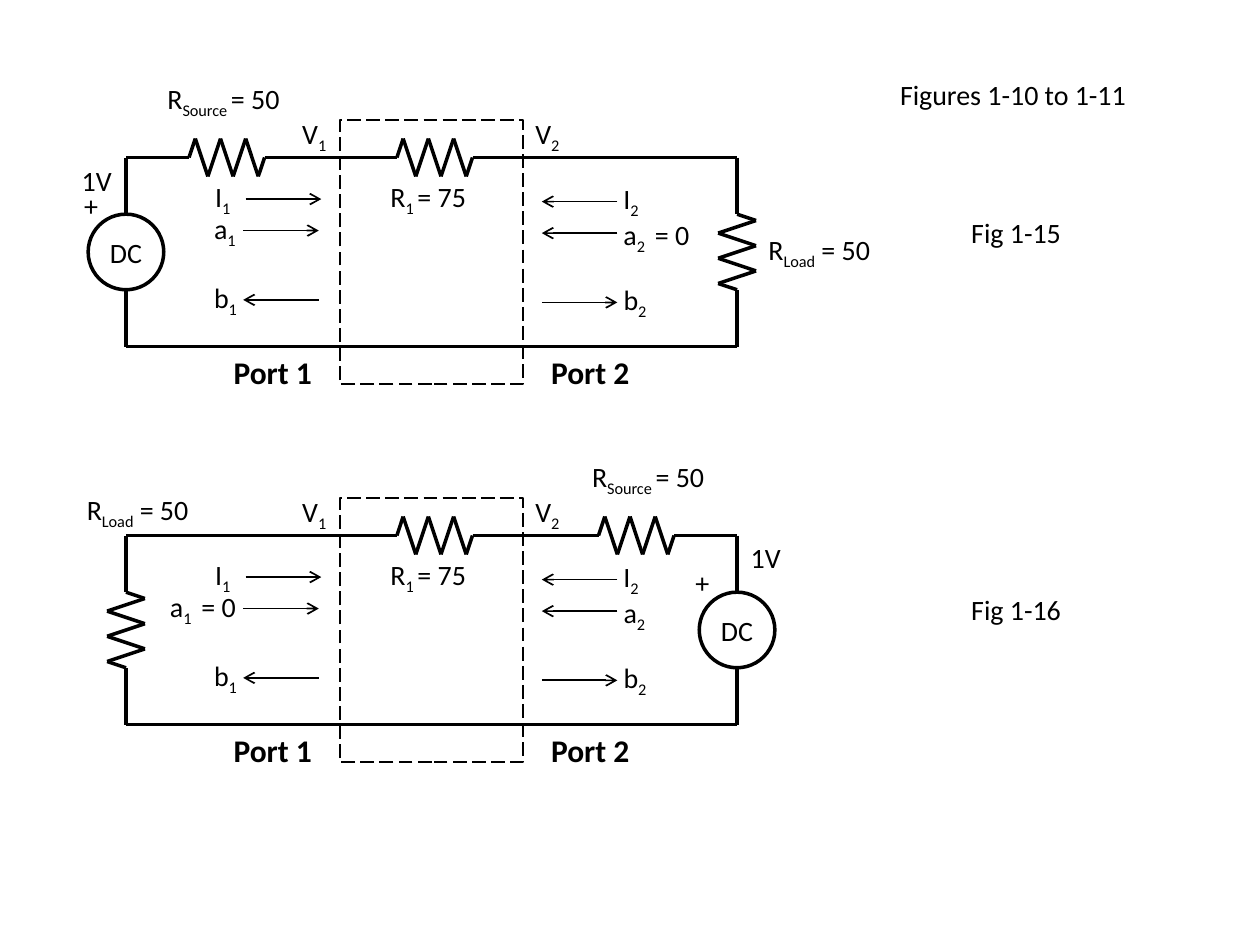
from itertools import pairwise

from lxml import etree
from pptx import Presentation
from pptx.dml.color import RGBColor
from pptx.enum.dml import MSO_LINE
from pptx.enum.shapes import MSO_CONNECTOR, MSO_SHAPE
from pptx.enum.text import MSO_ANCHOR, MSO_AUTO_SIZE, PP_ALIGN
from pptx.oxml.ns import qn
from pptx.util import Inches, Pt

COLORS = {"ink": "000000"}
FONT = "Calibri"
LEFT, RIGHT = 1, 5.85  # x of the outer wires
HEIGHT = 1.5  # from top wire to bottom wire
LENGTH = 0.6  # of a resistor, a source and an arrow
GAP = (HEIGHT - LENGTH) / 2  # wire above and below a side component
INNER, SOURCE_LEFT, SOURCE_RIGHT = 3.15, 1.5, 4.75  # resistor starts
ZIGZAG = [(0, 0)] + [
    (0.05 + 0.1 * i, 0.15 if i % 2 else -0.15) for i in range(6)
] + [(LENGTH, 0)]


def ink():
    return RGBColor.from_string(COLORS["ink"])


def style_line(line, width):
    line.color.rgb = ink()
    line.width = Pt(width)


def add_line(shapes, start, end, width=2, arrow=False):
    ends = [Inches(value) for value in (*start, *end)]
    line = shapes.add_connector(MSO_CONNECTOR.STRAIGHT, *ends)
    style_line(line.line, width)
    properties = line._element.spPr
    if arrow:
        tail = etree.SubElement(properties.find(qn("a:ln")), qn("a:tailEnd"))
        tail.set("type", "arrow")
    etree.SubElement(properties, qn("a:effectLst"))


def add_outline(page, preset, x, y, width, height, weight):
    shape = page.shapes.add_shape(
        preset, Inches(x), Inches(y), Inches(width), Inches(height))
    shape.shadow.inherit = False
    shape.fill.background()
    style_line(shape.line, weight)
    return shape


def write(frame, text, size=16, bold=False, align=PP_ALIGN.LEFT):
    """Fill the frame; every second part between bars is a subscript."""
    para = frame.paragraphs[0]
    para.alignment = align
    for index, part in enumerate(text.split("|")):
        span = para.add_run()
        span.text = part
        span.font.name = FONT
        span.font.size = Pt(size)
        span.font.bold = bold
        span.font.color.rgb = ink()
        if index % 2:
            span._r.get_or_add_rPr().set("baseline", "-25000")


def add_label(page, text, x, y, width, height=0.37, wrap=False, **style):
    box = page.shapes.add_textbox(
        Inches(x), Inches(y), Inches(width), Inches(height))
    box.text_frame.word_wrap = wrap
    box.text_frame.auto_size = MSO_AUTO_SIZE.SHAPE_TO_FIT_TEXT
    write(box.text_frame, text, **style)
    return box


def add_resistor(page, x, y, vertical=False):
    group = page.shapes.add_group_shape()
    points = [(x - across, y + along) if vertical else (x + along, y + across)
              for along, across in ZIGZAG]
    for start, end in pairwise(points):
        add_line(group.shapes, start, end)


def add_source(page, x, y):
    circle = add_outline(page, MSO_SHAPE.OVAL, x - LENGTH / 2, y,
                         LENGTH, LENGTH, 2)
    frame = circle.text_frame
    frame.margin_left = frame.margin_right = 0
    frame.margin_top = frame.margin_bottom = 0
    frame.vertical_anchor = MSO_ANCHOR.MIDDLE
    write(frame, "DC", align=PP_ALIGN.CENTER)


def add_wires(page, top, resistors):
    """Draw the loop, leaving room for resistors on top and at the sides."""
    bottom = top + HEIGHT
    stops = [LEFT, *(x + d for x in sorted(resistors) for d in (0, LENGTH)),
             RIGHT]
    for start, end in zip(stops[::2], stops[1::2]):
        add_line(page.shapes, (start, top), (end, top))
    for x in (LEFT, RIGHT):
        add_line(page.shapes, (x, top), (x, top + GAP))
        add_line(page.shapes, (x, bottom - GAP), (x, bottom))
    add_line(page.shapes, (LEFT, bottom), (RIGHT, bottom))
    for x in resistors:
        add_resistor(page, x, top)


def add_network(page, top):
    """Draw the dashed two-port with the waves and labels of both ports."""
    frame = add_outline(page, MSO_SHAPE.RECTANGLE, 2.7, top - 0.3, 1.45, 2.1, 1)
    frame.line.dash_style = MSO_LINE.LONG_DASH
    add_label(page, "R|1 |= 75", 3, top + 0.13, 0.82)
    for port, v_x, name_x in ((1, 2.3, 1.75), (2, 4.15, 4.27)):
        add_label(page, f"V|{port}", v_x, top - 0.37, 0.41)
        add_label(page, f"Port {port}", name_x, top + HEIGHT, 0.83, 0.4,
                  size=18, bold=True, align=PP_ALIGN.CENTER)
    for name, drop, x, width, inward in (
            ("I", 0.33, 1.95, 0.33, True),
            ("a", 0.58, 1.93, 0.38, True),
            ("b", 1.13, 1.93, 0.39, False)):
        for port, start, y in ((1, x, top + drop), (2, 4.3, top + drop + 0.02)):
            ends = [(start, y), (start + LENGTH, y)]
            if inward == (port == 2):
                ends.reverse()
            add_line(page.shapes, *ends, width=1, arrow=True)
            if name != "a":
                label_x = 4.85 if port == 2 else 1.61 if name == "I" else 1.6
                add_label(page, f"{name}|{port}", label_x,
                          top + drop - (0.2 if port == 1 else 0.19), width)


def add_forward_circuit(page, top):
    add_wires(page, top, [SOURCE_LEFT, INNER])
    add_network(page, top)
    add_source(page, LEFT, top + GAP)
    add_resistor(page, RIGHT, top + GAP, vertical=True)
    add_label(page, "R|Load| = 50", 6, top + 0.55, 1.15, wrap=True)
    for text, x, drop, width in (
            ("R|Source |= 50", 1.23, -0.65, 1.15), ("1V", 0.55, 0, 0.44),
            ("+", 0.57, 0.2, 0.31), ("a|1", 1.6, 0.38, 0.38),
            ("a|2 | = 0", 4.85, 0.43, 0.77), ("Fig 1-15", 7.61, 0.41, 0.92)):
        add_label(page, text, x, top + drop, width)


def add_reverse_circuit(page, top):
    add_wires(page, top, [INNER, SOURCE_RIGHT])
    add_network(page, top)
    add_source(page, RIGHT, top + GAP)
    add_resistor(page, LEFT, top + GAP, vertical=True)
    add_label(page, "R|Load| = 50", 0.59, top - 0.39, 1.15, wrap=True)
    for text, x, drop, width in (
            ("R|Source |= 50", 4.6, -0.65, 1.15), ("1V", 5.86, -0.01, 0.44),
            ("+", 5.42, 0.19, 0.31), ("a|1 | = 0", 1.25, 0.38, 0.75),
            ("a|2", 4.85, 0.43, 0.38), ("Fig 1-16", 7.61, 0.4, 0.92)):
        add_label(page, text, x, top + drop, width)


def main():
    deck = Presentation()
    deck.slide_width, deck.slide_height = Inches(10), Inches(7.5)
    page = deck.slides.add_slide(deck.slide_layouts[6])
    title = add_label(page, "Figures 1-10 to 1-11", 6.58, 0.3, 2.92, 0.9,
                      wrap=True, align=PP_ALIGN.CENTER)
    title.text_frame.auto_size = MSO_AUTO_SIZE.NONE
    title.text_frame.vertical_anchor = MSO_ANCHOR.MIDDLE
    add_forward_circuit(page, 1.25)
    add_reverse_circuit(page, 4.25)
    deck.save("out.pptx")


if __name__ == "__main__":
    main()
